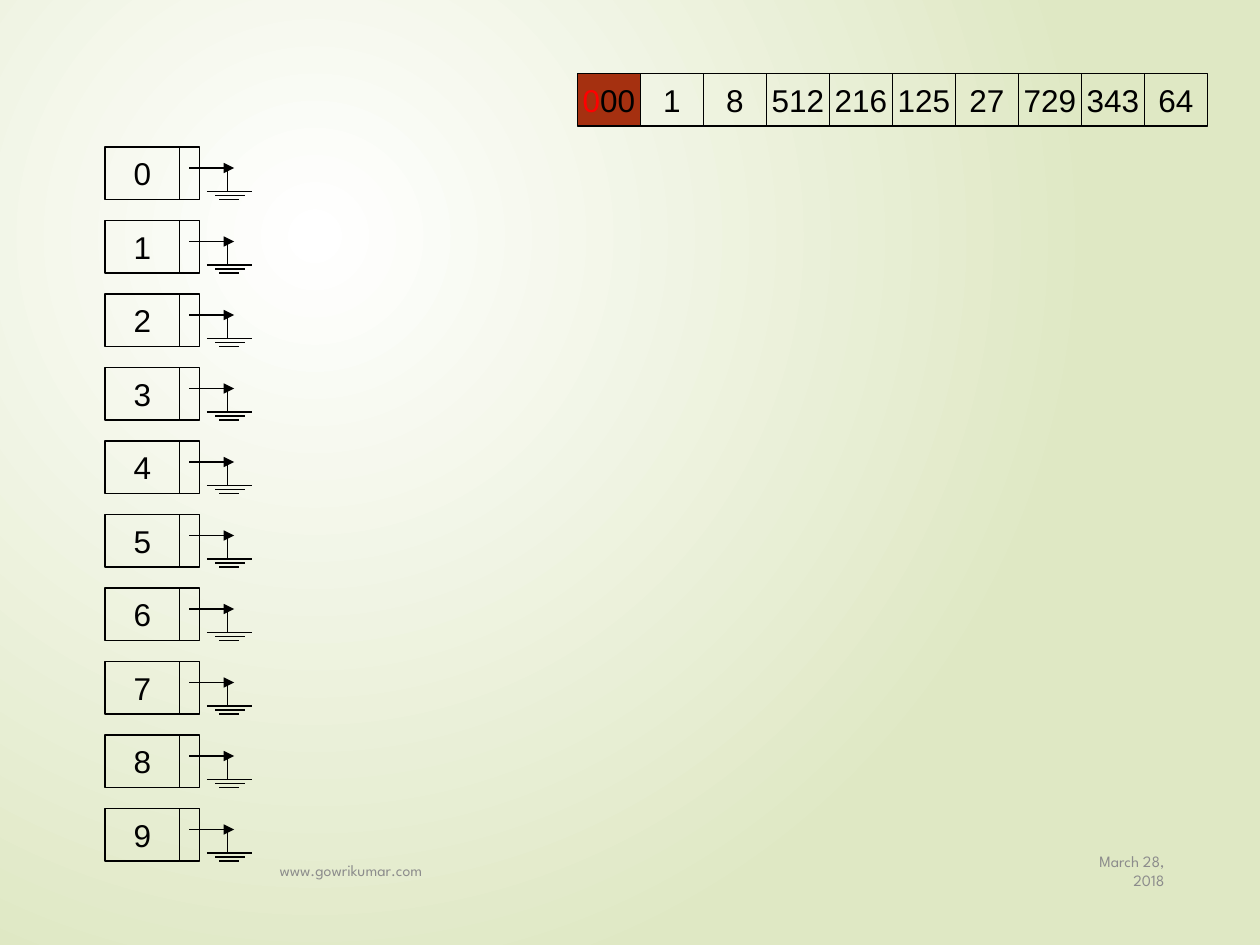
"""Build the starting state of a radix sort: a row of numbers and ten empty buckets."""
from dataclasses import dataclass

from lxml import etree
from pptx import Presentation
from pptx.dml.color import RGBColor
from pptx.enum.shapes import MSO_CONNECTOR, MSO_SHAPE
from pptx.enum.text import MSO_ANCHOR, PP_ALIGN
from pptx.oxml.ns import qn
from pptx.util import Inches, Pt

RECTANGLE = MSO_SHAPE.RECTANGLE
STRAIGHT = MSO_CONNECTOR.STRAIGHT
MIDDLE = MSO_ANCHOR.MIDDLE
LEFT, CENTER, RIGHT = PP_ALIGN.LEFT, PP_ALIGN.CENTER, PP_ALIGN.RIGHT

BLACK = RGBColor(0x00, 0x00, 0x00)
WHITE = RGBColor(0xFF, 0xFF, 0xFF)
RED = RGBColor(0xFF, 0x00, 0x00)
RUST = RGBColor(0xA5, 0x30, 0x10)
GREY = RGBColor(0x8C, 0x8C, 0x8C)
PALE_GREEN = RGBColor(0xDF, 0xE8, 0xC4)

UNIT = Inches(1) / 12
CELL_HEIGHT = 5
BUCKET_LEFT, BUCKET_TOP, BUCKET_PITCH = 10, 14, 7
NUMBER_LEFT, NUMBER_TOP, NUMBER_WIDTH = 55, 7, 6


@dataclass(frozen=True)
class Part:
    """A run of text with its look."""
    text: str
    color: RGBColor = BLACK
    size: int = 18
    font: str = "Arial"


@dataclass(frozen=True)
class Wire:
    """A line of a bucket, in units from the bucket's top left corner."""
    x1: float
    y1: float
    x2: float
    y2: float
    arrow: bool = False


@dataclass(frozen=True)
class Footer:
    """A small text at the foot, placed by shares of the slide's width."""
    text: str
    left: float
    width: float
    align: PP_ALIGN


NUMBERS = [[Part("0", RED), Part("00")]] + [
    [Part(number)] for number in "1 8 512 216 125 27 729 343 64".split()
]
WIRES = (
    Wire(8, 2, 12.3, 2, arrow=True),
    Wire(9.7, 4.25, 14, 4.25),
    Wire(10.9, 5, 12.8, 5),
    Wire(10.5, 4.63, 13.3, 4.63),
    Wire(11.7, 4.25, 11.7, 2),
)
FOOTERS = (
    Footer("March 28, 2018", 0.85, 0.084, RIGHT),
    Footer("www.gowrikumar.com", 0.212, 0.625, LEFT),
)


def units(count: float) -> int:
    """Turn grid units into a length."""
    return round(count * UNIT)


def paint_background(slide) -> None:
    """Fill the background with a radial gradient centred at the upper left."""
    fill = slide.background.fill
    fill.gradient()
    for stop, color, position in zip(fill.gradient_stops, (WHITE, PALE_GREEN), (0, 1)):
        stop.color.rgb = color
        stop.position = position
    gradient = slide.element.find(".//" + qn("a:gradFill"))
    gradient.remove(gradient.find(qn("a:lin")))
    circle = etree.SubElement(gradient, qn("a:path"), {"path": "circle"})
    etree.SubElement(circle, qn("a:fillToRect"),
                     {"l": "50000", "t": "50000", "r": "100000", "b": "100000"})


def write(frame, parts: list[Part], align: PP_ALIGN, wrap: bool) -> None:
    """Write the parts as one vertically centred paragraph."""
    frame.word_wrap = wrap
    frame.vertical_anchor = MIDDLE
    paragraph = frame.paragraphs[0]
    paragraph.alignment = align
    for part in parts:
        run = paragraph.add_run()
        run.text = part.text
        run.font.size = Pt(part.size)
        run.font.name = part.font
        run.font.color.rgb = part.color


def add_cell(shapes, left: float, top: float, width: float,
             parts: list[Part], fill: RGBColor | None = None) -> None:
    """Draw an outlined cell, measured in units."""
    cell = shapes.add_shape(RECTANGLE, units(left), units(top), units(width), units(CELL_HEIGHT))
    cell.shadow.inherit = False
    if fill is None:
        cell.fill.background()
    else:
        cell.fill.solid()
        cell.fill.fore_color.rgb = fill
    cell.line.color.rgb = BLACK
    cell.line.width = Pt(0.75)
    if parts:
        write(cell.text_frame, parts, CENTER, wrap=False)


def add_wire(shapes, wire: Wire, top: float) -> None:
    """Draw one line of the bucket that starts at the given top."""
    connector = shapes.add_connector(
        STRAIGHT, units(BUCKET_LEFT + wire.x1), units(top + wire.y1),
        units(BUCKET_LEFT + wire.x2), units(top + wire.y2))
    connector.line.color.rgb = BLACK
    connector.line.width = Pt(0.75)
    properties = connector.element.spPr
    if wire.arrow:
        etree.SubElement(properties.find(qn("a:ln")), qn("a:tailEnd"), {"type": "triangle"})
    etree.SubElement(properties, qn("a:effectLst"))


def add_bucket(slide, digit: int) -> None:
    """Draw a digit's bucket with its grounded pointer as a group."""
    shapes = slide.shapes.add_group_shape().shapes
    top = BUCKET_TOP + digit * BUCKET_PITCH
    add_cell(shapes, BUCKET_LEFT, top, 7.1, [Part(str(digit))])
    add_cell(shapes, BUCKET_LEFT + 7.1, top, 1.9, [])
    for wire in WIRES:
        add_wire(shapes, wire, top)


def main() -> None:
    """Build and save the slide."""
    deck = Presentation()
    deck.slide_width, deck.slide_height = Inches(10), Inches(7.5)
    slide = deck.slides.add_slide(deck.slide_layouts[6])
    paint_background(slide)
    for footer in FOOTERS:
        box = slide.shapes.add_textbox(
            round(footer.left * deck.slide_width), Inches(6.71),
            round(footer.width * deck.slide_width), Inches(0.4))
        write(box.text_frame, [Part(footer.text, GREY, 9, "League Spartan")],
              footer.align, wrap=True)
    for column, parts in enumerate(NUMBERS):
        add_cell(slide.shapes, NUMBER_LEFT + column * NUMBER_WIDTH, NUMBER_TOP,
                 NUMBER_WIDTH, parts, RUST if column == 0 else None)
    for digit in range(10):
        add_bucket(slide, digit)
    deck.save("out.pptx")


if __name__ == "__main__":
    main()
